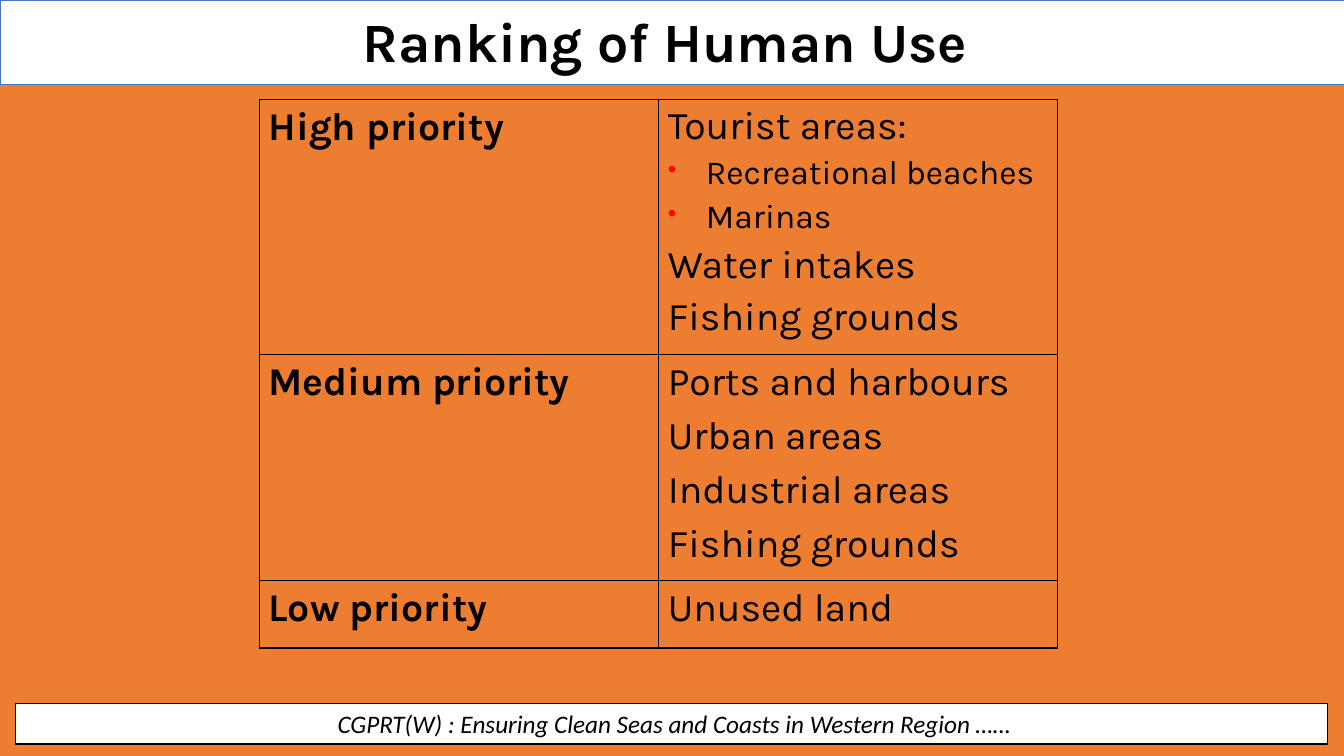
"""Build the slide that ranks human uses of the coast by priority."""
from lxml.etree import SubElement
from pptx import Presentation
from pptx.dml.color import RGBColor
from pptx.enum.shapes import MSO_SHAPE
from pptx.enum.text import MSO_ANCHOR, PP_ALIGN
from pptx.oxml.ns import qn
from pptx.util import Cm, Pt

ORANGE = RGBColor(0xED, 0x7D, 0x31)
WHITE = RGBColor(0xFF, 0xFF, 0xFF)
BLACK = RGBColor(0x00, 0x00, 0x00)
BLUE = RGBColor(0x44, 0x72, 0xC4)
RED = RGBColor(0xFF, 0x00, 0x00)

RANKING = [
    ("High priority", 6.43, 0.95,
     ["Tourist areas:", "• Recreational beaches", "• Marinas", "Water intakes", "Fishing grounds"]),
    ("Medium priority", 5.69, None,
     ["Ports and harbours", "Urban areas", "Industrial areas", "Fishing grounds"]),
    ("Low priority", 1.7, None, ["Unused land"]),
]


class RankingSlide:
    def __init__(self, presentation):
        self.slide = presentation.slides.add_slide(presentation.slide_layouts[6])
        self.slide.background.fill.solid()
        self.slide.background.fill.fore_color.rgb = ORANGE

    def style(self, paragraph, size, name="Karla", bold=False, italic=False):
        font = paragraph.font
        font.size, font.name, font.bold, font.italic = Pt(size), name, bold, italic
        font.color.rgb = BLACK

    def line(self, frame, text, size, **look):
        frame.word_wrap = True
        frame.vertical_anchor = MSO_ANCHOR.MIDDLE
        paragraph = frame.paragraphs[0]
        paragraph.text = text
        paragraph.alignment = PP_ALIGN.CENTER
        self.style(paragraph, size, **look)
        return paragraph

    def band(self, left, top, width, height, outline, weight):
        band = self.slide.shapes.add_shape(
            MSO_SHAPE.RECTANGLE, Cm(left), Cm(top), Cm(width), Cm(height))
        band.shadow.inherit = False
        band.fill.solid()
        band.fill.fore_color.rgb = WHITE
        band.line.color.rgb = outline
        band.line.width = Pt(weight)
        return band.text_frame

    def title(self, text, left, top, width, height):
        frame = self.slide.shapes.add_textbox(
            Cm(left), Cm(top), Cm(width), Cm(height)).text_frame
        self.line(frame, text, 39.6, bold=True).line_spacing = 0.9

    def entry(self, paragraph, text, spacing=None, bold=False):
        bulleted = text.startswith("• ")
        paragraph.text = text.removeprefix("• ")
        paragraph.line_spacing = spacing
        properties = paragraph._p.get_or_add_pPr()
        before = SubElement(properties, qn("a:spcBef"))
        SubElement(before, qn("a:spcPct"), val="20000")
        if bulleted:
            indent = Cm(0.96)
            properties.set("marL", str(indent))
            properties.set("indent", str(-indent))
            colour = SubElement(properties, qn("a:buClr"))
            SubElement(colour, qn("a:srgbClr"), val=str(RED))
            SubElement(properties, qn("a:buSzPct"), val="75000")
            SubElement(properties, qn("a:buChar"), char="•")
        self.style(paragraph, 24 if bulleted else 28, bold=bold)

    def cell(self, cell, entries, spacing=None, bold=False):
        properties = cell._tc.get_or_add_tcPr()
        for side in ("lnL", "lnR", "lnT", "lnB"):
            border = SubElement(properties, qn(f"a:{side}"), w=str(Pt(1)))
            fill = SubElement(border, qn("a:solidFill"))
            SubElement(fill, qn("a:srgbClr"), val=str(BLACK))
        cell.fill.background()
        cell.margin_left = cell.margin_right = Cm(0.24)
        cell.margin_top = cell.margin_bottom = Cm(0.13)
        frame = cell.text_frame
        for index, text in enumerate(entries):
            paragraph = frame.add_paragraph() if index else frame.paragraphs[0]
            self.entry(paragraph, text, spacing, bold)

    def table(self, ranking, left, top, width):
        total = sum(height for _, height, _, _ in ranking)
        table = self.slide.shapes.add_table(
            len(ranking), 2, Cm(left), Cm(top), Cm(width), Cm(total)).table
        table.first_row = table.horz_banding = False
        for row, (priority, height, spacing, uses) in enumerate(ranking):
            table.rows[row].height = Cm(height)
            self.cell(table.cell(row, 0), [priority], bold=True)
            self.cell(table.cell(row, 1), uses, spacing)


def main():
    presentation = Presentation()
    presentation.slide_width, presentation.slide_height = Cm(33.87), Cm(19.05)
    ranking = RankingSlide(presentation)
    ranking.band(0, 0, 33.87, 2.13, BLUE, 0.5)
    ranking.title("Ranking of Human Use ", 5.51, 0.36, 22.86, 1.55)
    ranking.table(RANKING, 6.53, 2.51, 20.12)
    footer = ranking.band(0.4, 17.73, 33.05, 1.02, BLACK, 0.75)
    ranking.line(footer, " CGPRT(W) : Ensuring Clean Seas and Coasts in Western Region ……",
                 18, name="Calibri", italic=True)
    presentation.save("out.pptx")


if __name__ == "__main__":
    main()
